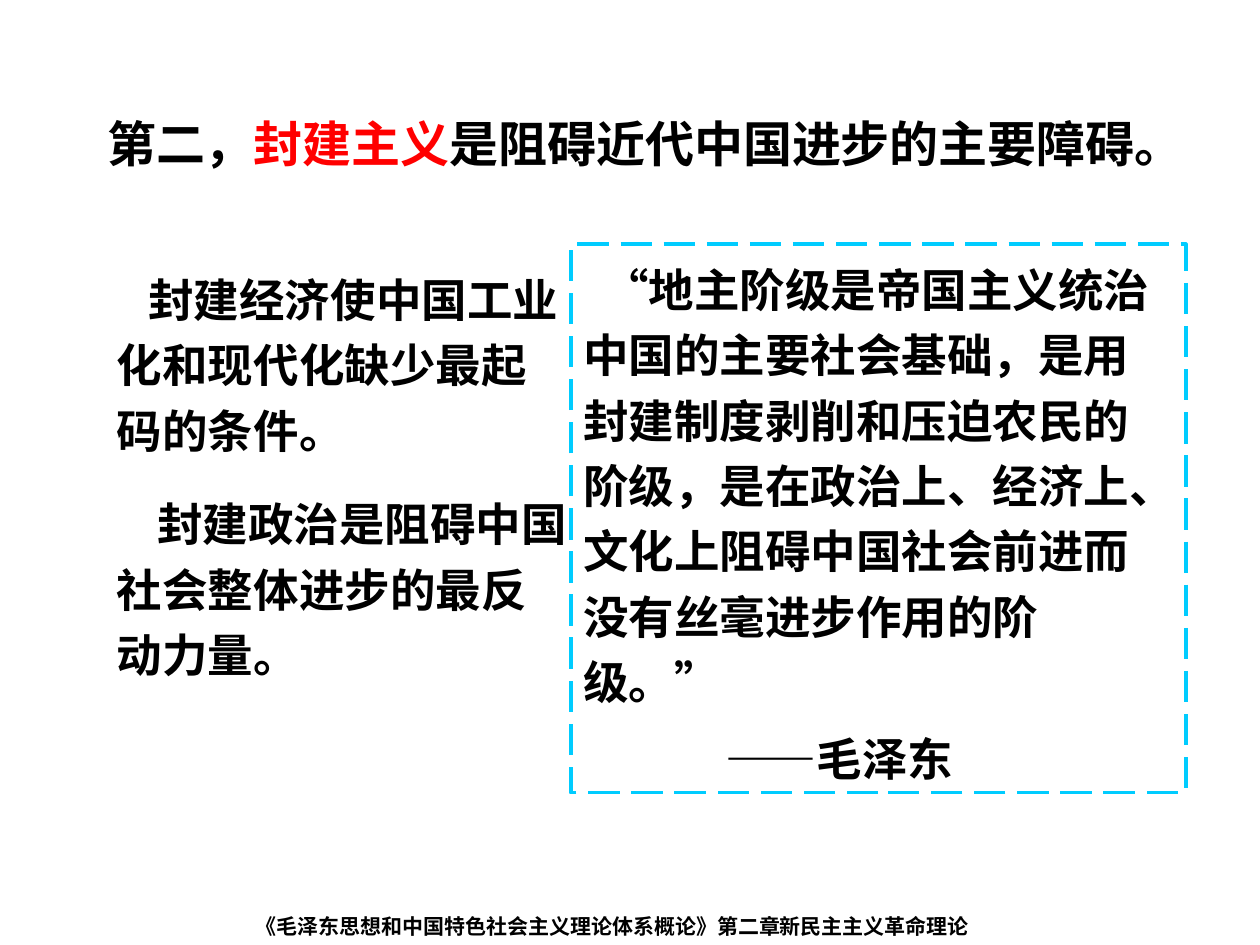
from pptx import Presentation
from pptx.dml.color import RGBColor
from pptx.enum.dml import MSO_LINE
from pptx.enum.shapes import MSO_SHAPE
from pptx.enum.text import MSO_ANCHOR, MSO_AUTO_SIZE, PP_ALIGN
from pptx.util import Inches, Pt

RECTANGLE = MSO_SHAPE.RECTANGLE
DASH = MSO_LINE.LONG_DASH
TOP, LEFT = MSO_ANCHOR.TOP, PP_ALIGN.LEFT
NO_FIT = MSO_AUTO_SIZE.NONE
LATIN, CJK = "Arial", "Noto Sans CJK SC"
BLACK, RED, CYAN, WHITE = "000000", "FF0000", "00CCFF", "FFFFFF"

# Content: each paragraph is (first-line indent in inches, runs of (text, colour))
HEADING = [(0, [("第二，", BLACK), ("封建主义", RED),
                ("是阻碍近代中国进步的主要障碍。", BLACK)])]
ARGUMENTS = [
    (0.25, [("封建经济使中国工业化和现代化缺少最起码的条件。", BLACK)]),
    (0.32, [("封建政治是阻碍中国社会整体进步的最反动力量。", BLACK)]),
]
QUOTATION = [
    (0.16, [("“地主阶级是帝国主义统治中国的主要社会基础，是用封建制度剥削和压迫农民的阶级，"
             "是在政治上、经济上、文化上阻碍中国社会前进而没有丝毫进步作用的阶级。”", BLACK)]),
    (1.13, [("——毛泽东", BLACK)]),
]
SOURCE = [(0, [("《毛泽东思想和中国特色社会主义理论体系概论》第二章新民主主义革命理论", BLACK)])]

# Left, top, width, height in inches
HEADING_BOX = (0.75, 0.76, 9.13, 0.66)
ARGUMENT_BOX = (0.83, 2.02, 3.78, 4.23)
QUOTATION_BOX = (4.53, 1.94, 4.88, 4.35)
SOURCE_BOX = (1.93, 7.17, 6.38, 0.33)


def color(value):
    return RGBColor.from_string(value)


def write(shape, paragraphs, size, font=LATIN, spacing=1.2, gap=0):
    frame = shape.text_frame
    frame.word_wrap = True
    frame.auto_size = NO_FIT
    frame.vertical_anchor = TOP
    for index, (indent, runs) in enumerate(paragraphs):
        paragraph = frame.add_paragraph() if index else frame.paragraphs[0]
        properties = paragraph._p.get_or_add_pPr()
        properties.set("marL", "0")
        properties.set("indent", str(Inches(indent)))
        paragraph.alignment = LEFT
        paragraph.line_spacing = spacing
        paragraph.space_before = Pt(gap if index else 0)
        paragraph.font.size = Pt(size)
        paragraph.font.bold = True
        paragraph.font.name = font
        for text, ink in runs:
            run = paragraph.add_run()
            run.text = text
            run.font.color.rgb = color(ink)


def add_panel(slide, box):
    panel = slide.shapes.add_shape(RECTANGLE, *map(Inches, box))
    panel.shadow.inherit = False
    return panel


def main():
    deck = Presentation()
    deck.slide_width, deck.slide_height = Inches(10), Inches(7.5)
    slide = deck.slides.add_slide(deck.slide_layouts[5])

    # Heading
    heading = slide.shapes.title
    heading.left, heading.top, heading.width, heading.height = map(Inches, HEADING_BOX)
    write(heading, HEADING, 28)

    # Arguments on the left
    arguments = slide.shapes.add_textbox(*map(Inches, ARGUMENT_BOX))
    write(arguments, ARGUMENTS, 26, gap=16.2)

    # Quotation in a dashed frame
    quotation = add_panel(slide, QUOTATION_BOX)
    quotation.fill.background()
    quotation.line.color.rgb = color(CYAN)
    quotation.line.width = Pt(2.25)
    quotation.line.dash_style = DASH
    write(quotation, QUOTATION, 26, font=CJK, gap=6.5)

    # Source line at the foot
    source = add_panel(slide, SOURCE_BOX)
    source.fill.solid()
    source.fill.fore_color.rgb = color(WHITE)
    source.line.fill.background()
    write(source, SOURCE, 12, spacing=1.15)

    deck.save("out.pptx")


if __name__ == "__main__":
    main()
